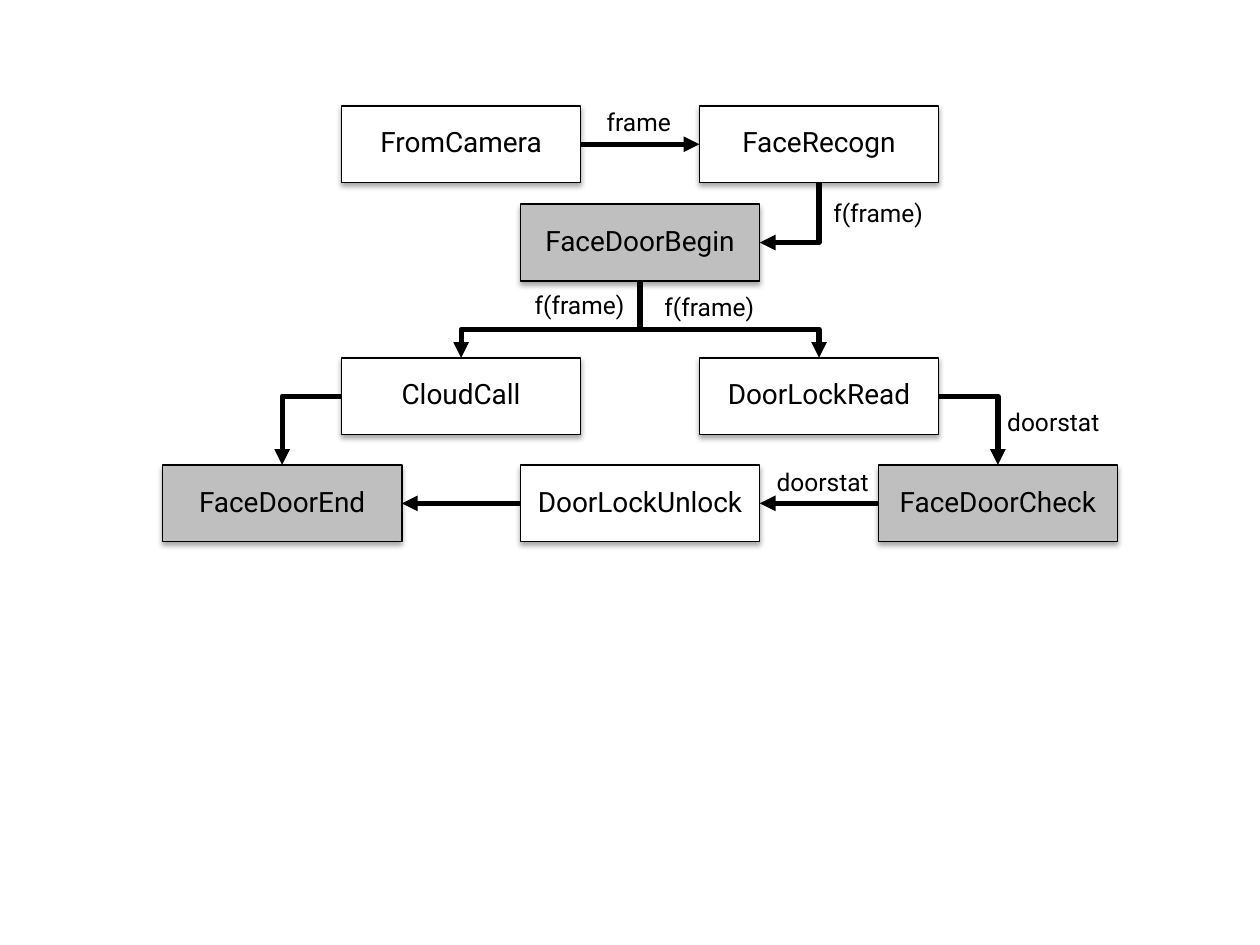
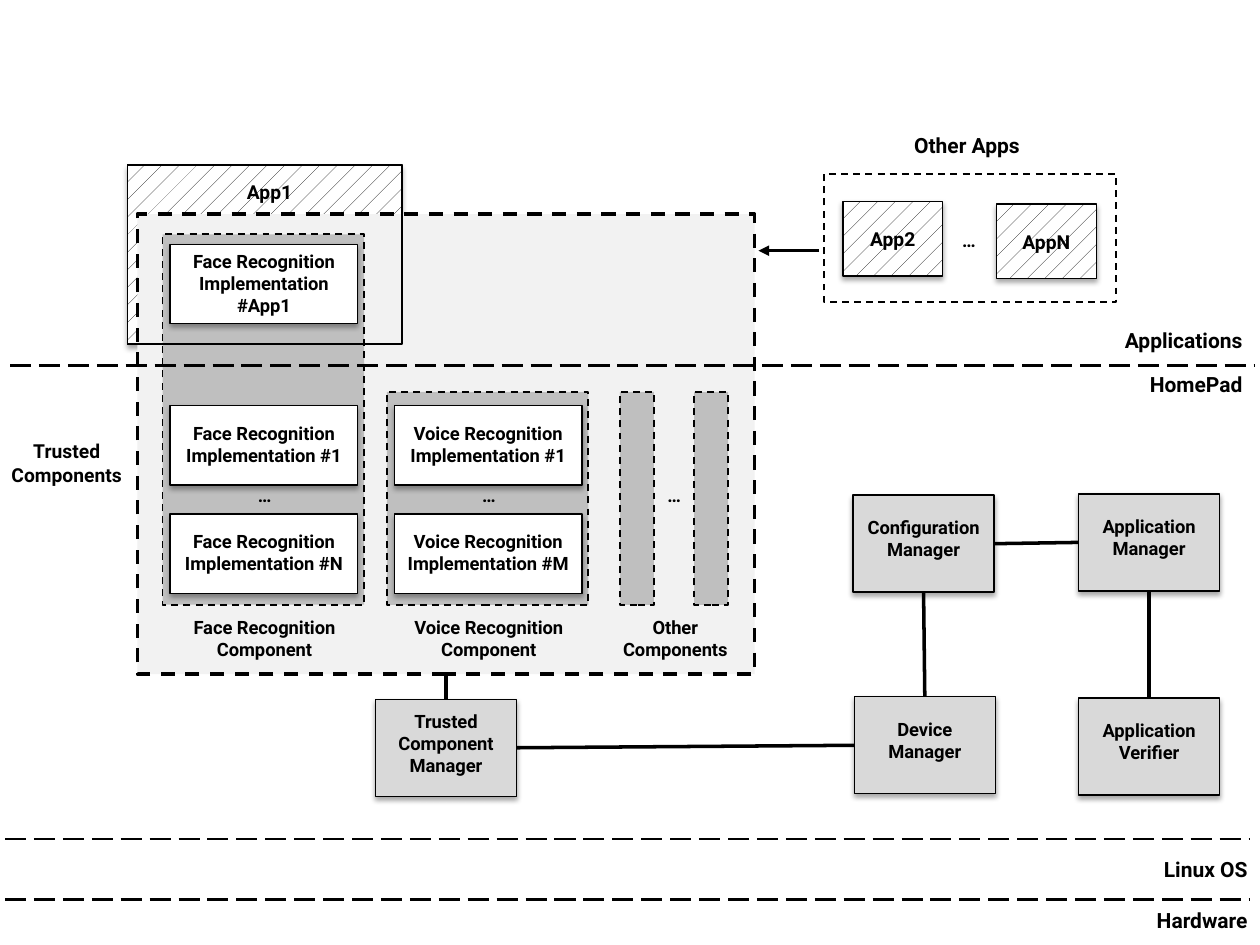
from pptx import Presentation
from pptx import util as u
from pptx.dml import color
from pptx.enum import dml, shapes, text
from pptx.oxml import parse_xml
from pptx.oxml.ns import qn, nsdecls

FONT = "Roboto"
BLACK, WHITE, GREY, LIGHT, PALE = "000000", "FFFFFF", "BFBFBF", "D9D9D9", "F2F2F2"
HATCH = "hatch"
DASH, LONG = dml.MSO_LINE.DASH, dml.MSO_LINE.LONG_DASH
ALIGN = {"c": text.PP_ALIGN.CENTER, "r": text.PP_ALIGN.RIGHT}
TOP, LEFT, BOTTOM, RIGHT = range(4)

STEP_W, STEP_H = 1.9, 0.61
STEP_X = [1.29 + 1.42 * i for i in range(5)]
STEP_Y = [0.84, 1.62, 2.84, 3.69]
STEPS = [
    ("FaceDoorBegin", 2, 1, GREY),
    ("FromCamera", 1, 0, WHITE),
    ("FaceRecogn", 3, 0, WHITE),
    ("CloudCall", 1, 2, WHITE),
    ("DoorLockRead", 3, 2, WHITE),
    ("DoorLockUnlock", 2, 3, WHITE),
    ("FaceDoorCheck", 4, 3, GREY),
    ("FaceDoorEnd", 0, 3, GREY),
]
FLOWS = [
    ("FromCamera", RIGHT, "FaceRecogn", LEFT),
    ("FaceDoorCheck", LEFT, "DoorLockUnlock", RIGHT),
    ("DoorLockUnlock", LEFT, "FaceDoorEnd", RIGHT),
]
BENDS = [
    ("FaceRecogn", BOTTOM, "FaceDoorBegin", RIGHT, None),
    ("FaceDoorBegin", BOTTOM, "DoorLockRead", TOP, 0.63),
    ("FaceDoorBegin", BOTTOM, "CloudCall", TOP, 0.63),
    ("DoorLockRead", RIGHT, "FaceDoorCheck", TOP, None),
    ("CloudCall", LEFT, "FaceDoorEnd", TOP, None),
]
TAGS = [
    ("frame", 4.6, 0.8), ("f(frame)", 6.5, 1.52), ("doorstat", 6.06, 3.66),
    ("doorstat", 7.89, 3.18), ("f(frame)", 5.16, 2.27), ("f(frame)", 4.13, 2.25),
]

APP = (1.01, 1.31, 2.18, 1.42)
TRUST = (1.09, 1.7, 4.9, 3.65)
GROUPS = [
    (1.29, 1.86, 1.6, 2.94), (3.07, 3.11, 1.6, 1.69),
    (4.92, 3.11, 0.27, 1.69), (5.51, 3.11, 0.27, 1.69),
]
PARTS = [
    ("Face Recognition\nImplementation #App1", 1.35, 1.94),
    ("Face Recognition\nImplementation #1", 1.35, 3.22),
    ("Face Recognition\nImplementation #N", 1.35, 4.08),
    ("Voice Recognition\nImplementation #1", 3.13, 3.22),
    ("Voice Recognition\nImplementation #M", 3.13, 4.08),
]
UNITS = {
    "config": ("Configuration\nManager", 6.77, 3.93),
    "device": ("Device\nManager", 6.78, 5.53),
    "apps": ("Application\nManager", 8.56, 3.92),
    "check": ("Application\nVerifier", 8.56, 5.54),
    "trust": ("Trusted\nComponent\nManager", 2.98, 5.55),
}
LINKS = [
    ("trust", RIGHT, "device", LEFT),
    ("apps", BOTTOM, "check", TOP),
    ("area", BOTTOM, "trust", TOP),
    ("config", RIGHT, "apps", LEFT),
    ("config", BOTTOM, "device", TOP),
]
OTHERS = [("App2", 6.69, 1.6), ("AppN", 7.91, 1.62)]
RULES = [(0.08, 2.9), (0.04, 6.66), (0.04, 7.14)]
NOTES = [
    ("Face Recognition\nComponent", 1.35, 4.84, 1.5, 10.5, "c"),
    ("Voice Recognition\nComponent", 3.13, 4.84, 1.5, 10.5, "c"),
    ("Other\nComponents", 4.61, 4.84, 1.5, 10.5, "c"),
    ("…", 1.35, 3.79, 1.5, 10.5, "c"),
    ("…", 3.13, 3.79, 1.5, 10.5, "c"),
    ("…", 4.6, 3.79, 1.5, 10.5, "c"),
    ("…", 6.94, 1.77, 1.5, 10.5, "c"),
    ("Trusted\nComponents", -0.22, 3.44, 1.5, 11, "c"),
    ("Other Apps", 6.57, 1, 2.21, 12, "c"),
    ("Applications", 7.75, 2.55, 2.21, 12, "r"),
    ("HomePad", 8.27, 2.9, 1.69, 12, "r"),
    ("Linux OS", 8.31, 6.75, 1.69, 12, "r"),
    ("Hardware", 8.31, 7.15, 1.69, 12, "r"),
]


def rgb(code):
    return color.RGBColor.from_string(code)


def inch(*nums):
    return [u.Inches(n) for n in nums]


def write(frame, words, size, bold, side="c"):
    frame.word_wrap = True
    for i, row in enumerate(words.split("\n")):
        para = frame.add_paragraph() if i else frame.paragraphs[0]
        para.alignment = ALIGN[side]
        run = para.add_run()
        run.text = row
        font = run.font
        font.name, font.size, font.bold = FONT, u.Pt(size), bold
        font.color.rgb = rgb(BLACK)


def label(slide, words, x, y, wide, size, bold=True, side="c"):
    high = 0.1 + size / 60 * (words.count("\n") + 1)
    frame = slide.shapes.add_textbox(*inch(x, y, wide, high)).text_frame
    write(frame, words, size, bold, side)
    frame.auto_size = text.MSO_AUTO_SIZE.SHAPE_TO_FIT_TEXT


def stroke(line, width, dash=None):
    line.color.rgb = rgb(BLACK)
    line.width = u.Pt(width)
    if dash:
        line.dash_style = dash


def box(slide, place, fill=None, width=0.75, dash=None, shade=False):
    shape = slide.shapes.add_shape(shapes.MSO_SHAPE.RECTANGLE, *inch(*place))
    shape.shadow.inherit = False
    stroke(shape.line, width, dash)
    if fill is None:
        shape.fill.background()
    elif fill == HATCH:
        shape.fill.patterned()
        shape.fill.pattern = dml.MSO_PATTERN.PERCENT_5
        shape.fill.fore_color.rgb = rgb(BLACK)
        shape.fill.back_color.rgb = rgb(WHITE)
    else:
        shape.fill.solid()
        shape.fill.fore_color.rgb = rgb(fill)
    if shade:
        glow = shape._element.spPr.find(qn("a:effectLst"))
        glow.append(parse_xml(
            f'<a:outerShdw {nsdecls("a")} blurRad="39370" dist="22860" dir="5400000" rotWithShape="0">'
            '<a:srgbClr val="000000"><a:alpha val="35000"/></a:srgbClr></a:outerShdw>'))
    return shape


def card(slide, place, fill, words, size, bold, drop=0.0):
    shape = box(slide, place, fill, shade=True)
    frame = shape.text_frame
    frame.margin_left = frame.margin_right = u.Inches(0.04)
    frame.margin_top, frame.margin_bottom = inch(0, drop)
    frame.vertical_anchor = text.MSO_ANCHOR.MIDDLE
    write(frame, words, size, bold)
    return shape


def wire(slide, ends, width, dash=None, arrow=False, kind=shapes.MSO_CONNECTOR.STRAIGHT):
    line = slide.shapes.add_connector(kind, *[u.Emu(int(n)) for n in ends])
    stroke(line.line, width, dash)
    if arrow:
        line.line._get_or_add_ln().append(parse_xml(f'<a:tailEnd {nsdecls("a")} type="triangle"/>'))
    line._element.spPr.append(parse_xml(f'<a:effectLst {nsdecls("a")}/>'))
    return line


def port(shape, side):
    across, down = [(0.5, 0), (0, 0.5), (0.5, 1), (1, 0.5)][side]
    return shape.left + shape.width * across, shape.top + shape.height * down


def join(slide, start, out, end, into, width, arrow=False):
    line = wire(slide, (*port(start, out), *port(end, into)), width, arrow=arrow)
    line.begin_connect(start, out)
    line.end_connect(end, into)


def bend(slide, start, out, end, into, ratio):
    (x1, y1), (x2, y2) = port(start, out), port(end, into)
    ends, turn = (x1, y1, x2, y2), 0
    if out == BOTTOM:
        mid_x, mid_y = (x1 + x2) / 2, (y1 + y2) / 2
        half, rise = (y2 - y1) / 2, abs(x2 - x1) / 2
        sign, turn = (-1, 270) if x2 > x1 else (1, 90)
        ends = (mid_x - sign * half, mid_y - rise, mid_x + sign * half, mid_y + rise)
    line = wire(slide, ends, 3, arrow=True, kind=shapes.MSO_CONNECTOR.ELBOW)
    props = line._element.spPr
    if turn:
        props.find(qn("a:xfrm")).set("rot", str(turn * 60000))
    geom = props.find(qn("a:prstGeom"))
    if ratio is None:
        geom.set("prst", "bentConnector2")
    else:
        for old in list(geom):
            geom.remove(old)
        geom.append(parse_xml(
            f'<a:avLst {nsdecls("a")}><a:gd name="adj1" fmla="val {round(ratio * 100000)}"/></a:avLst>'))


def draw_flow(slide):
    steps = {}
    for name, col, row, fill in STEPS:
        place = (STEP_X[col], STEP_Y[row], STEP_W, STEP_H)
        steps[name] = card(slide, place, fill, name, 16, False, 0.04)
    for start, out, end, into in FLOWS:
        join(slide, steps[start], out, steps[end], into, 3, True)
    for start, out, end, into, ratio in BENDS:
        bend(slide, steps[start], out, steps[end], into, ratio)
    for words, x, y in TAGS:
        label(slide, words, x, y, 0.94, 14, False)


def draw_stack(slide):
    frame = card(slide, APP, HATCH, "App1", 11, True).text_frame
    frame.vertical_anchor = text.MSO_ANCHOR.TOP
    frame.margin_top, frame.margin_left = inch(0.12, 0.12)
    nodes = {"area": box(slide, TRUST, PALE, 2, DASH)}
    for place in GROUPS:
        box(slide, place, GREY, 1, DASH)
    for words, x, y in PARTS:
        card(slide, (x, y, 1.49, 0.63), WHITE, words, 10.5, True, 0.02)
    for name, (words, x, y) in UNITS.items():
        nodes[name] = card(slide, (x, y, 1.12, 0.77), LIGHT, words, 10.5, True, 0.08)
    for start, out, end, into in LINKS:
        join(slide, nodes[start], out, nodes[end], into, 2)
    box(slide, APP)
    for words, x, y in OTHERS:
        card(slide, (x, y, 0.79, 0.59), HATCH, words, 11, True)
    box(slide, (6.54, 1.38, 2.32, 1.02), None, 1, DASH)
    wire(slide, inch(6.5, 1.99, 6.02, 1.99), 2, arrow=True)
    for x, y in RULES:
        wire(slide, inch(x, y, x + 9.88, y), 1.5, LONG)
    for words, x, y, wide, size, side in NOTES:
        label(slide, words, x, y, wide, size, True, side)


def main():
    deck = Presentation()
    deck.slide_width, deck.slide_height = inch(10, 7.5)
    for draw in (draw_flow, draw_stack):
        draw(deck.slides.add_slide(deck.slide_layouts[6]))
    deck.save("out.pptx")


if __name__ == "__main__":
    main()
